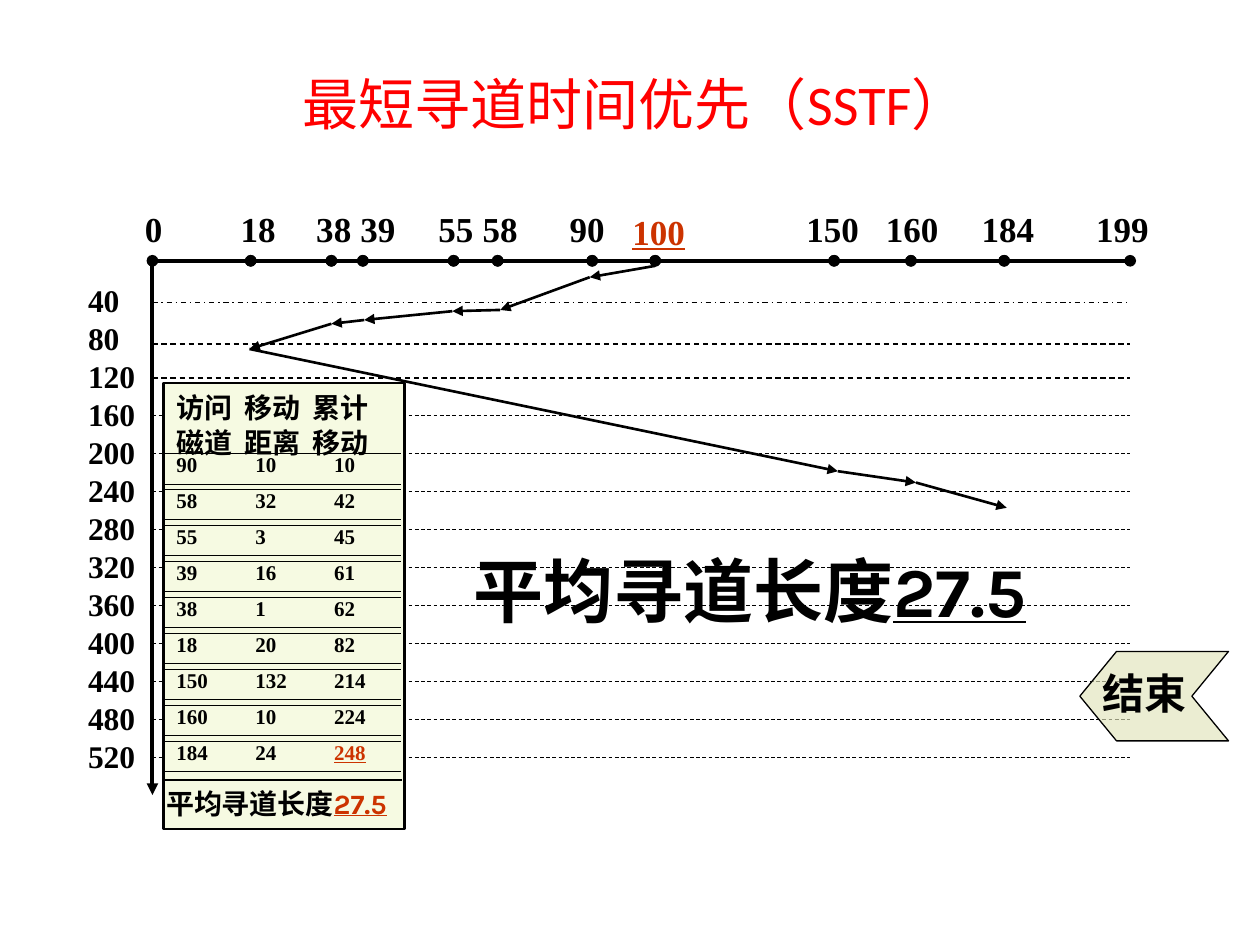
from itertools import pairwise

from lxml import etree
from pptx import Presentation
from pptx.dml.color import RGBColor
from pptx.enum.dml import MSO_LINE
from pptx.enum.shapes import MSO_CONNECTOR, MSO_SHAPE
from pptx.enum.text import MSO_ANCHOR, MSO_AUTO_SIZE, PP_ALIGN
from pptx.oxml.ns import qn
from pptx.util import Inches, Pt

STRAIGHT = MSO_CONNECTOR.STRAIGHT
RECTANGLE, CHEVRON = MSO_SHAPE.RECTANGLE, MSO_SHAPE.CHEVRON
DASH, DASH_DOT = MSO_LINE.DASH, MSO_LINE.DASH_DOT
TOP, NO_AUTOFIT = MSO_ANCHOR.TOP, MSO_AUTO_SIZE.NONE
LEFT, CENTER = PP_ALIGN.LEFT, PP_ALIGN.CENTER

BLACK = RGBColor(0, 0, 0)
RED = RGBColor(0xFF, 0, 0)
RUST = RGBColor(0xCC, 0x33, 0)
PANEL_FILL = RGBColor(0xF6, 0xFA, 0xE2)
BUTTON_FILL = RGBColor(0xE1, 0xE4, 0xBA)
SERIF = "Times New Roman"

AXIS_Y = 2.07
TRACK_STOPS = [1.21, 1.99, 2.63, 2.88, 3.6, 3.95, 4.7, 5.2, 6.62, 7.23, 7.97, 8.97]
TRACK_LABELS = [("18", 0.76), ("38", 1.36), ("39", 1.71), ("55", 2.33), ("58", 2.68),
                ("90", 3.37), ("150", 5.25), ("160", 5.88), ("184", 6.64), ("199", 7.55)]
HEAD_ROUTE = [(5.2, 2.11), (4.68, 2.2), (3.97, 2.46), (3.59, 2.47), (2.89, 2.54),
              (2.63, 2.57), (1.98, 2.77), (6.65, 3.74), (7.27, 3.83), (7.99, 4.03)]
VISITS = [(90, 10), (58, 32), (55, 3), (39, 16), (38, 1),
          (18, 20), (150, 132), (160, 10), (184, 24)]


def add_text(paragraph, text, size, font, color=BLACK, bold=True, underline=False):
    run = paragraph.add_run()
    run.text = text
    run.font.size = Pt(size)
    run.font.name = font
    run.font.bold = bold
    run.font.color.rgb = color
    if underline:
        run.font.underline = True


def add_tab_stops(paragraph, positions):
    properties = paragraph._p.get_or_add_pPr()
    stops = etree.SubElement(properties, qn("a:tabLst"))
    for position in positions:
        etree.SubElement(stops, qn("a:tab"), pos=str(Inches(position)), algn="l")


def add_text_box(shapes, left, top, width, height):
    box = shapes.add_textbox(Inches(left), Inches(top), Inches(width), Inches(height))
    box.text_frame.word_wrap = True
    return box.text_frame


def add_line(shapes, start, end, weight, head=None, tail=None, dash=None):
    line = shapes.add_connector(STRAIGHT, *(Inches(value) for value in (*start, *end)))
    line.line.color.rgb = BLACK
    line.line.width = Pt(weight)
    if dash:
        line.line.dash_style = dash
    outline = line.line._get_or_add_ln()
    for tag, kind in (("a:headEnd", head), ("a:tailEnd", tail)):
        if kind:
            etree.SubElement(outline, qn(tag), type=kind)
    etree.SubElement(line._element.spPr, qn("a:effectLst"))


def add_title(slide, left, top, width, height):
    title = slide.shapes.title
    title.left, title.top = Inches(left), Inches(top)
    title.width, title.height = Inches(width), Inches(height)
    frame = title.text_frame
    frame.auto_size = NO_AUTOFIT
    frame.vertical_anchor = TOP
    paragraph = frame.paragraphs[0]
    paragraph.alignment = CENTER
    add_text(paragraph, "最短寻道时间优先（SSTF）", 32, "Calibri", RED, bold=False)


def add_track_axis(slide, left, top, width, height):
    frame = add_text_box(slide.shapes, left, top, width, height)
    frame.margin_left = frame.margin_right = Inches(0.06)
    frame.margin_top = frame.margin_bottom = Inches(0.03)
    paragraph = frame.paragraphs[0]
    paragraph.line_spacing = Pt(24)
    add_tab_stops(paragraph, [position for _, position in TRACK_LABELS])
    labels = "\t".join(["0"] + [label for label, _ in TRACK_LABELS])
    add_text(paragraph, labels, 20, SERIF)

    axis = slide.shapes.add_group_shape()
    for start, end in pairwise(TRACK_STOPS):
        add_line(axis.shapes, (start, AXIS_Y), (end, AXIS_Y), 2.25, "oval", "oval")

    start_label = add_text_box(slide.shapes, 4.92, top, 0.63, 0.44).paragraphs[0]
    start_label.line_spacing = Pt(24)
    add_text(start_label, "100", 20, SERIF, RUST, underline=True)


def add_depth_grid(slide, left, top, right, bottom):
    add_line(slide.shapes, (left, top), (left, bottom), 2.25, tail="triangle")
    upper_lines = [(2.4, 0.75, DASH_DOT), (2.73, 0.75, DASH), (3, 0.75, DASH)]
    lower_lines = [(3.3 + 0.301 * index, 0.5, DASH) for index in range(10)]
    for y, weight, dash in upper_lines + lower_lines:
        add_line(slide.shapes, (left, y), (right, y), weight, dash=dash)

    frame = add_text_box(slide.shapes, left - 0.61, top + 0.08, 0.71, 4.19)
    for index, depth in enumerate(range(40, 521, 40)):
        paragraph = frame.add_paragraph() if index else frame.paragraphs[0]
        paragraph.line_spacing = Pt(21.7)
        add_text(paragraph, str(depth), 18, SERIF)


def add_head_route(slide):
    for start, end in pairwise(HEAD_ROUTE):
        add_line(slide.shapes, start, end, 1.5, tail="triangle")


def set_cell_borders(cell):
    properties = cell._tc.get_or_add_tcPr()
    for index, side in enumerate(("lnL", "lnR", "lnT", "lnB")):
        border = etree.Element(qn(f"a:{side}"), w=str(Pt(0.45)))
        if side in ("lnT", "lnB"):
            fill = etree.SubElement(border, qn("a:solidFill"))
            etree.SubElement(fill, qn("a:srgbClr"), val=str(BLACK))
        else:
            etree.SubElement(border, qn("a:noFill"))
        properties.insert(index, border)


def add_visit_row(slide, left, top, values, is_last):
    table = slide.shapes.add_table(1, 3, Inches(left), Inches(top),
                                   Inches(1.88), Inches(0.24)).table
    table.first_row = table.horz_banding = False
    for column, value in enumerate(values):
        cell = table.cell(0, column)
        cell.fill.background()
        set_cell_borders(cell)
        paragraph = cell.text_frame.paragraphs[0]
        paragraph.line_spacing = 0.7
        is_total = is_last and column == 2
        add_text(paragraph, str(value), 12, SERIF, RUST if is_total else BLACK,
                 underline=is_total)


def add_visit_panel(slide, left, top, width, height):
    panel = slide.shapes.add_shape(RECTANGLE, Inches(left), Inches(top),
                                   Inches(width), Inches(height))
    panel.shadow.inherit = False
    panel.fill.solid()
    panel.fill.fore_color.rgb = PANEL_FILL
    panel.line.color.rgb = BLACK
    panel.line.width = Pt(1.5)
    frame = panel.text_frame
    frame.vertical_anchor = TOP
    for index, heading in enumerate(("访问\t移动\t累计", "磁道\t距离\t移动")):
        paragraph = frame.add_paragraph() if index else frame.paragraphs[0]
        paragraph.alignment = LEFT
        paragraph.line_spacing = 1.04
        add_tab_stops(paragraph, [0.54, 1.08])
        add_text(paragraph, heading, 16, SERIF)

    add_line(slide.shapes, (left, top + 3.15), (left + 1.89, top + 3.15), 1.5)
    total = 0
    for index, (track, distance) in enumerate(VISITS):
        total += distance
        add_visit_row(slide, left, top + 0.56 + 0.285 * index,
                      (track, distance, total), index == len(VISITS) - 1)
    add_average(slide, left - 0.08, top + 3.15, 2.05, 0.37, 16, RUST)


def add_average(slide, left, top, width, height, size, value_color):
    paragraph = add_text_box(slide.shapes, left, top, width, height).paragraphs[0]
    add_text(paragraph, "平均寻道长度", size, "Karla")
    add_text(paragraph, "27.5", size, "Karla", value_color, underline=True)


def add_end_button(slide, left, top, width, height):
    button = slide.shapes.add_group_shape()
    arrow = button.shapes.add_shape(CHEVRON, Inches(left), Inches(top),
                                    Inches(width), Inches(height))
    arrow.rotation = 180
    arrow.adjustments[0] = 0.41
    arrow.shadow.inherit = False
    arrow.fill.solid()
    arrow.fill.fore_color.rgb = BUTTON_FILL
    color = arrow._element.spPr.find(qn("a:solidFill")).find(qn("a:srgbClr"))
    etree.SubElement(color, qn("a:alpha"), val="65000")
    arrow.line.color.rgb = BLACK
    arrow.line.width = Pt(0.75)
    frame = add_text_box(button.shapes, left + 0.08, top + 0.08, 1.02, 0.5)
    add_text(frame.paragraphs[0], "结束", 24, "Arial")


def main():
    presentation = Presentation()
    presentation.slide_width, presentation.slide_height = Inches(10), Inches(7.5)
    slide = presentation.slides.add_slide(presentation.slide_layouts[5])
    add_title(slide, 0.33, 0.5, 9.42, 6.67)
    add_track_axis(slide, 1.09, 1.62, 8.25, 0.47)
    add_depth_grid(slide, 1.21, 2.1, 8.97, 6.31)
    add_head_route(slide)
    add_visit_panel(slide, 1.3, 3.04, 1.91, 3.54)
    add_end_button(slide, 8.57, 5.17, 1.18, 0.71)
    add_average(slide, 3.66, 4.3, 4.88, 0.77, 40, BLACK)
    presentation.save("out.pptx")


if __name__ == "__main__":
    main()
